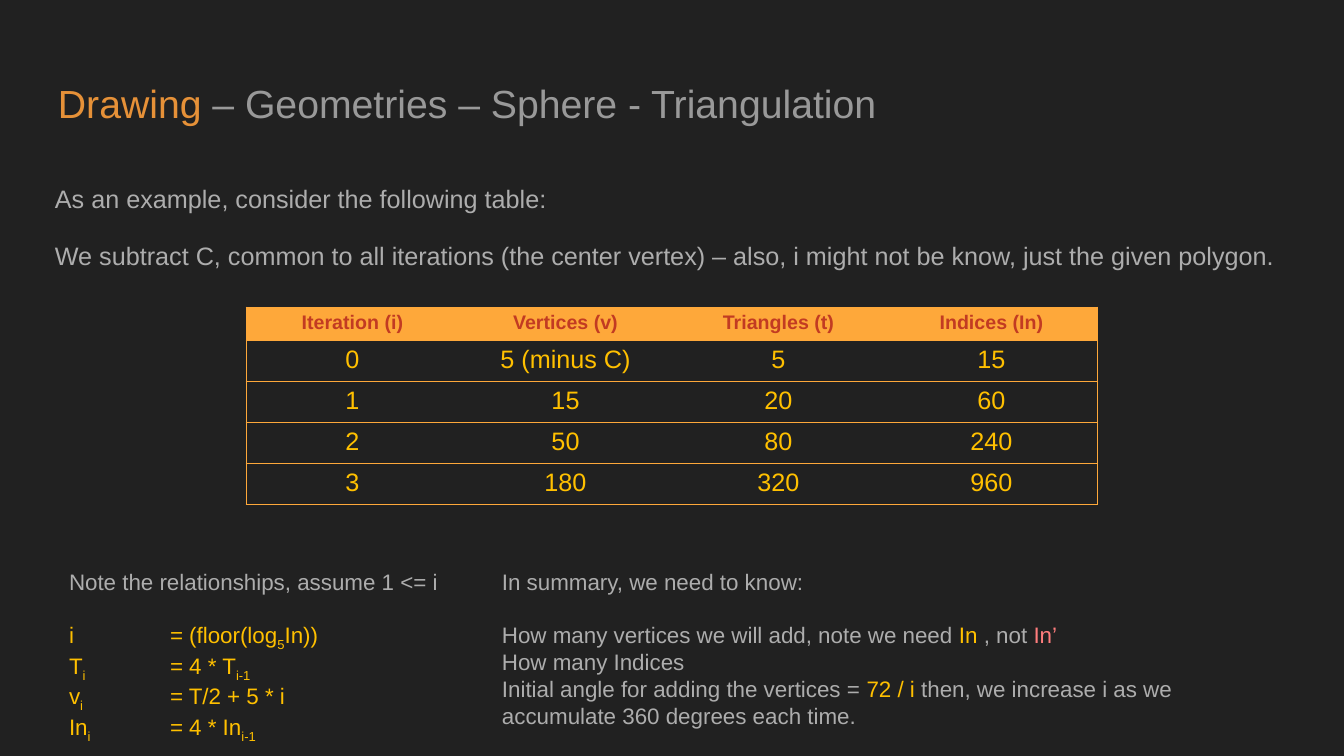
from lxml import etree
from pptx import Presentation
from pptx import util as u
from pptx.dml.color import RGBColor
from pptx.enum import text
from pptx.oxml import ns

BACKGROUND = RGBColor(0x21, 0x21, 0x21)
TITLE_ORANGE = RGBColor(0xE6, 0x91, 0x38)
TITLE_GRAY = RGBColor(0x99, 0x99, 0x99)
GRAY = RGBColor(0xAD, 0xAD, 0xAD)
YELLOW = RGBColor(0xFF, 0xC0, 0x00)
PINK = RGBColor(0xFF, 0x7D, 0x7D)
RED = RGBColor(0xC2, 0x3B, 0x22)
HEADER_ORANGE = RGBColor(0xFE, 0xA8, 0x3A)

WIDTH, HEIGHT = 1344, 756
EMU_PER_PX = 12192000 / WIDTH
PLAIN_TABLE_STYLE = "{2D5ABB26-0587-4C30-8999-92F81FD0307C}"


def px(length):
    return u.Emu(round(length * EMU_PER_PX))


def set_values(target, values):
    for name, value in values.items():
        setattr(target, name, value)


def sub_element(parent, tag, **attributes):
    return etree.SubElement(parent, ns.qn(tag), attributes)


class SlideBuilder:
    font_name = "Arial"

    def __init__(self, presentation):
        self.slide = presentation.slides.add_slide(presentation.slide_layouts[6])
        fill = self.slide.background.fill
        fill.solid()
        fill.fore_color.rgb = BACKGROUND

    def add_run(self, paragraph, content, size, color, subscript=False, bold=False):
        run = paragraph.add_run()
        run.text = content
        set_values(run.font, {"name": self.font_name, "size": u.Pt(size), "bold": bold})
        run.font.color.rgb = color
        if subscript:
            run._r.get_or_add_rPr().set("baseline", "-25000")

    def text_box(self, box, paragraphs, size, inset=(10, 5), gap=None, tab=None,
                 anchor=text.MSO_ANCHOR.TOP, **spacing):
        """Each paragraph is a list of (text, color[, subscript]); gap precedes the second."""
        shape = self.slide.shapes.add_textbox(*map(px, box))
        frame = shape.text_frame
        across, down = map(px, inset)
        set_values(frame, {"word_wrap": True, "vertical_anchor": anchor,
                           "margin_left": across, "margin_right": across,
                           "margin_top": down, "margin_bottom": down})
        for index, runs in enumerate(paragraphs):
            paragraph = frame.add_paragraph() if index else frame.paragraphs[0]
            set_values(paragraph, spacing)
            if gap and index == 1:
                paragraph.space_before = u.Pt(gap)
            if tab:
                tabs = sub_element(paragraph._p.get_or_add_pPr(), "a:tabLst")
                sub_element(tabs, "a:tab", pos=str(px(tab)), algn="l")
            for content, color, *subscript in runs:
                self.add_run(paragraph, content, size, color, *subscript)

    def cell_borders(self, cell, sides):
        properties = cell._tc.get_or_add_tcPr()
        for index, side in enumerate(sides):
            line = etree.Element(ns.qn(f"a:ln{side}"), w=str(u.Pt(0.75)))
            fill = sub_element(line, "a:solidFill")
            sub_element(fill, "a:srgbClr", val=str(HEADER_ORANGE))
            properties.insert(index, line)

    def table(self, box, rows, header_height, row_height):
        frame = self.slide.shapes.add_table(len(rows), len(rows[0]), *map(px, box))
        table = frame.table
        table._tbl.tblPr.find(ns.qn("a:tableStyleId")).text = PLAIN_TABLE_STYLE
        last = len(rows[0]) - 1
        for r, values in enumerate(rows):
            header = r == 0
            table.rows[r].height = px(header_height if header else row_height)
            for c, value in enumerate(values):
                cell = table.cell(r, c)
                set_values(cell, {"margin_top": px(5), "margin_bottom": px(5)})
                if header:
                    cell.fill.solid()
                    cell.fill.fore_color.rgb = HEADER_ORANGE
                else:
                    cell.fill.background()
                paragraph = cell.text_frame.paragraphs[0]
                paragraph.alignment = text.PP_ALIGN.CENTER
                self.add_run(paragraph, value, 14 if header else 18,
                             RED if header else YELLOW, bold=header)
                sides = ["L"] * (c == 0) + ["R"] * (c == last) + ["T", "B"]
                self.cell_borders(cell, sides)


def main():
    presentation = Presentation()
    set_values(presentation, {"slide_width": px(WIDTH), "slide_height": px(HEIGHT)})
    builder = SlideBuilder(presentation)

    # Title and introduction
    builder.text_box((45, 66, 1252, 85), [
        [("Drawing ", TITLE_ORANGE),
         ("– Geometries – Sphere - Triangulation", TITLE_GRAY)],
    ], 28, inset=(13, 13))
    builder.text_box((45, 169, 1252, 65), [
        [("As an example, consider the following table:", GRAY)],
        [("We subtract C, common to all iterations (the center vertex) – also, "
          "i might not be know, just the given polygon.", GRAY)],
    ], 18, inset=(10, 10), line_spacing=1.15, space_after=u.Pt(16))

    # Iteration table
    builder.table((246, 307, 852, 196), [
        ["Iteration (i)", "Vertices (v)", "Triangles (t)", "Indices (In)"],
        ["0", "5 (minus C)", "5", "15"],
        ["1", "15", "20", "60"],
        ["2", "50", "80", "240"],
        ["3", "180", "320", "960"],
    ], header_height=32, row_height=41)

    # Relationships
    builder.text_box((59, 563, 401, 228), [
        [("Note the relationships, assume 1 <= i", GRAY)],
        [("i\t= (floor(log", YELLOW), ("5", YELLOW, True), ("In))", YELLOW)],
        [("T", YELLOW), ("i", YELLOW, True), ("\t= 4 * T", YELLOW), ("i-1", YELLOW, True)],
        [("v", YELLOW), ("i", YELLOW, True), ("\t= T/2 + 5 * i", YELLOW)],
        [("In", YELLOW), ("i", YELLOW, True), ("\t= 4 * In", YELLOW), ("i-1", YELLOW, True)],
    ], 16, gap=19, tab=101)

    # Summary
    builder.text_box((492, 563, 806, 228), [
        [("In summary, we need to know:", GRAY)],
        [("How many vertices we will add, note we need ", GRAY), ("In", YELLOW),
         (" , not ", GRAY), ("In’", PINK)],
        [("How many Indices", GRAY)],
        [("Initial angle for adding the vertices = ", GRAY), ("72 / i ", YELLOW),
         ("then, we increase i as we accumulate 360 degrees each time.", GRAY)],
    ], 16, gap=19)

    presentation.save("out.pptx")


if __name__ == "__main__":
    main()
